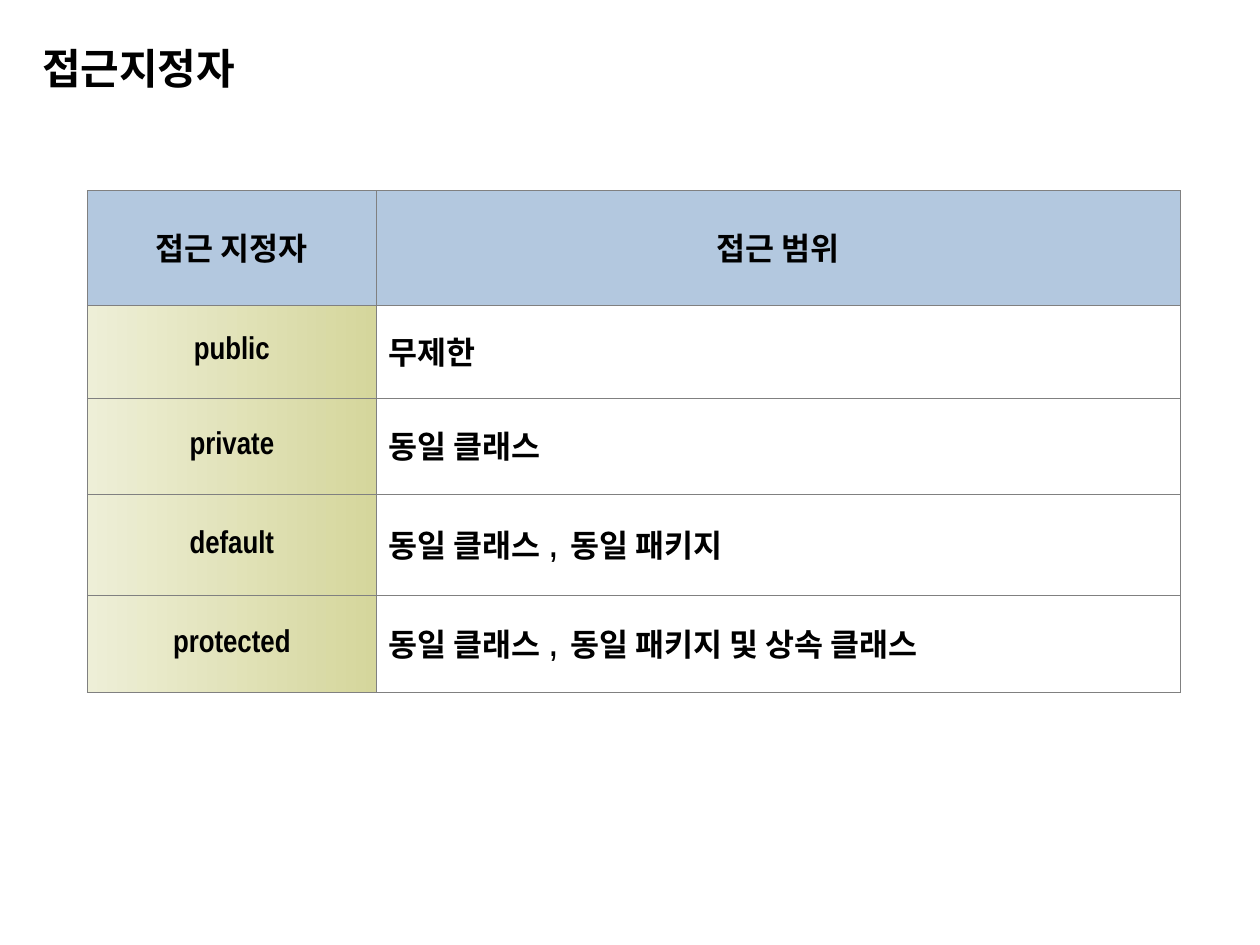
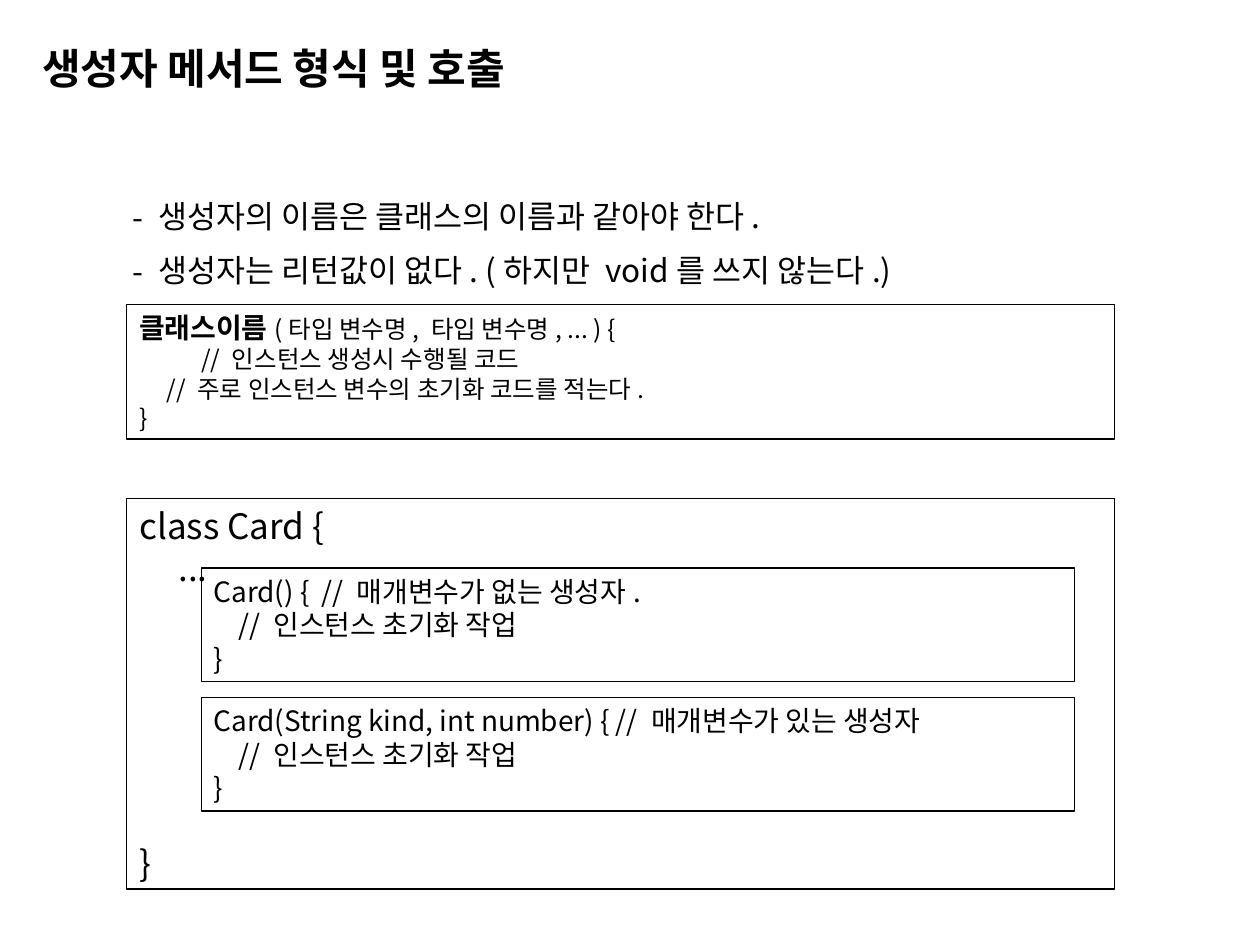
"""Build two slides on access modifiers and constructor methods."""
from lxml.etree import SubElement
from pptx import Presentation
from pptx.dml.color import RGBColor
from pptx.enum.shapes import MSO_SHAPE
from pptx.enum.text import MSO_ANCHOR, PP_ALIGN
from pptx.oxml.ns import qn
from pptx.util import Pt

TITLES = ["접근지정자", "생성자 메서드 형식 및 호출"]
ACCESS = [
    ("접근 지정자", "접근 범위"),
    ("public", "무제한"),
    ("private", "동일 클래스"),
    ("default", "동일 클래스, 동일 패키지"),
    ("protected", "동일 클래스, 동일 패키지 및 상속 클래스"),
]
RULES = [
    "생성자의 이름은 클래스의 이름과 같아야 한다.",
    "생성자는 리턴값이 없다. (하지만 void를 쓰지 않는다.)",
]
FORM = [
    "(타입 변수명, 타입 변수명, ... ) {",
    "\t// 인스턴스 생성시 수행될 코드",
    "     // 주로 인스턴스 변수의 초기화 코드를 적는다.",
    "}",
]
FORM_NAME = "클래스이름"
CLASS = ["class Card {", "     ...", "}"]
HEADS = [
    "Card() {  // 매개변수가 없는 생성자.",
    "Card(String kind, int number) { // 매개변수가 있는 생성자",
]
BODY = ["    // 인스턴스 초기화 작업", "}"]

BLACK = RGBColor(0x00, 0x00, 0x00)
WHITE = RGBColor(0xFF, 0xFF, 0xFF)
GRAY = RGBColor(0x80, 0x80, 0x80)
BLUE = RGBColor(0xB3, 0xC8, 0xDF)
PALE = RGBColor(0xEE, 0xEF, 0xD7)
OLIVE = RGBColor(0xD5, 0xD6, 0x9C)
SANS, NARROW = "Noto Sans CJK KR", "Arial Narrow"

COLS = [165, 459.5]
ROWS = [65.5, 53.2, 54.8, 58, 55.5]


def put(item, **values):
    for name, value in values.items():
        setattr(item, name, value)


def write(para, text, size, bold=False, face=SANS):
    run = para.add_run()
    run.text = text
    put(run.font, size=Pt(size), bold=bold, name=face)
    run.font.color.rgb = BLACK
    SubElement(run.font._element, qn("a:ea"), typeface=SANS)


def indent(para, left, first):
    props = para._p.get_or_add_pPr()
    props.set("marL", str(Pt(left)))
    props.set("indent", str(Pt(first)))
    return props


def frame(shape, side=7.2):
    put(shape.text_frame, word_wrap=True, vertical_anchor=MSO_ANCHOR.TOP,
        margin_left=Pt(side), margin_right=Pt(side),
        margin_top=Pt(3.6), margin_bottom=Pt(3.6))
    return shape.text_frame


def label(slide, left, top, width, height, side=7.2):
    box = slide.shapes.add_textbox(Pt(left), Pt(top), Pt(width), Pt(height))
    return frame(box, side).paragraphs[0]


def start(deck, title):
    slide = deck.slides.add_slide(deck.slide_layouts[6])
    para = label(slide, 24, 24, 671, 35, 0)
    para.line_spacing = 0.9
    write(para, title, 24, True)
    return slide


def border(cell):
    props = cell._tc.get_or_add_tcPr()
    for side in ("lnL", "lnR", "lnT", "lnB"):
        line = SubElement(props, qn("a:" + side), w=str(Pt(0.75)))
        fill = SubElement(line, qn("a:solidFill"))
        SubElement(fill, qn("a:srgbClr"), val=str(GRAY))


def shade(fill, row, col):
    if row and col == 0:
        fill.gradient()
        fill.gradient_angle = 0
        for stop, color in zip(fill.gradient_stops, (PALE, OLIVE)):
            stop.color.rgb = color
    else:
        fill.solid()
        fill.fore_color.rgb = WHITE if row else BLUE


def grid(slide):
    table = slide.shapes.add_table(
        len(ROWS), len(COLS), Pt(50), Pt(109), Pt(sum(COLS)), Pt(sum(ROWS))).table
    put(table, first_row=False, horz_banding=False)
    for col, width in zip(table.columns, COLS):
        col.width = Pt(width)
    for r, texts in enumerate(ACCESS):
        table.rows[r].height = Pt(ROWS[r])
        for c, text in enumerate(texts):
            cell = table.cell(r, c)
            border(cell)
            shade(cell.fill, r, c)
            cell.vertical_anchor = MSO_ANCHOR.MIDDLE
            para = cell.text_frame.paragraphs[0]
            mid = r == 0 or c == 0
            put(para, line_spacing=0.9,
                alignment=PP_ALIGN.CENTER if mid else PP_ALIGN.LEFT)
            if r and c == 0:
                indent(para, 18, -18)
            write(para, text, 18, True, NARROW)


def code(slide, left, top, width, height, lines, size, lead=""):
    box = slide.shapes.add_shape(
        MSO_SHAPE.RECTANGLE, Pt(left), Pt(top), Pt(width), Pt(height))
    box.shadow.inherit = False
    box.fill.background()
    box.line.color.rgb = BLACK
    box.line.width = Pt(0.75)
    text = frame(box)
    for i, line in enumerate(lines):
        para = text.add_paragraph() if i else text.paragraphs[0]
        para.alignment = PP_ALIGN.LEFT
        indent(para, 35.5, -35.5)
        if lead and i == 0:
            write(para, lead, 16, True)
        write(para, line, size)
    return text


def main():
    deck = Presentation()
    put(deck, slide_width=Pt(720), slide_height=Pt(540))
    access, maker = [start(deck, title) for title in TITLES]
    grid(access)

    outer = code(maker, 72.5, 285, 564.5, 223, CLASS, 20)
    outer.paragraphs[-1].space_before = Pt(144.5)
    for i, head in enumerate(HEADS):
        code(maker, 115, 324.5 + 74 * i, 499, 65, [head] + BODY, 16)
    for i, rule in enumerate(RULES):
        para = label(maker, 61, 109 + 31 * i, 598, 29)
        props = indent(para, 22.5, -15)
        SubElement(props, qn("a:buFont"), typeface=SANS)
        SubElement(props, qn("a:buChar"), char="-")
        write(para, rule, 18)
    code(maker, 72.5, 174, 564.5, 77, FORM, 14, FORM_NAME)
    deck.save("out.pptx")


if __name__ == "__main__":
    main()
